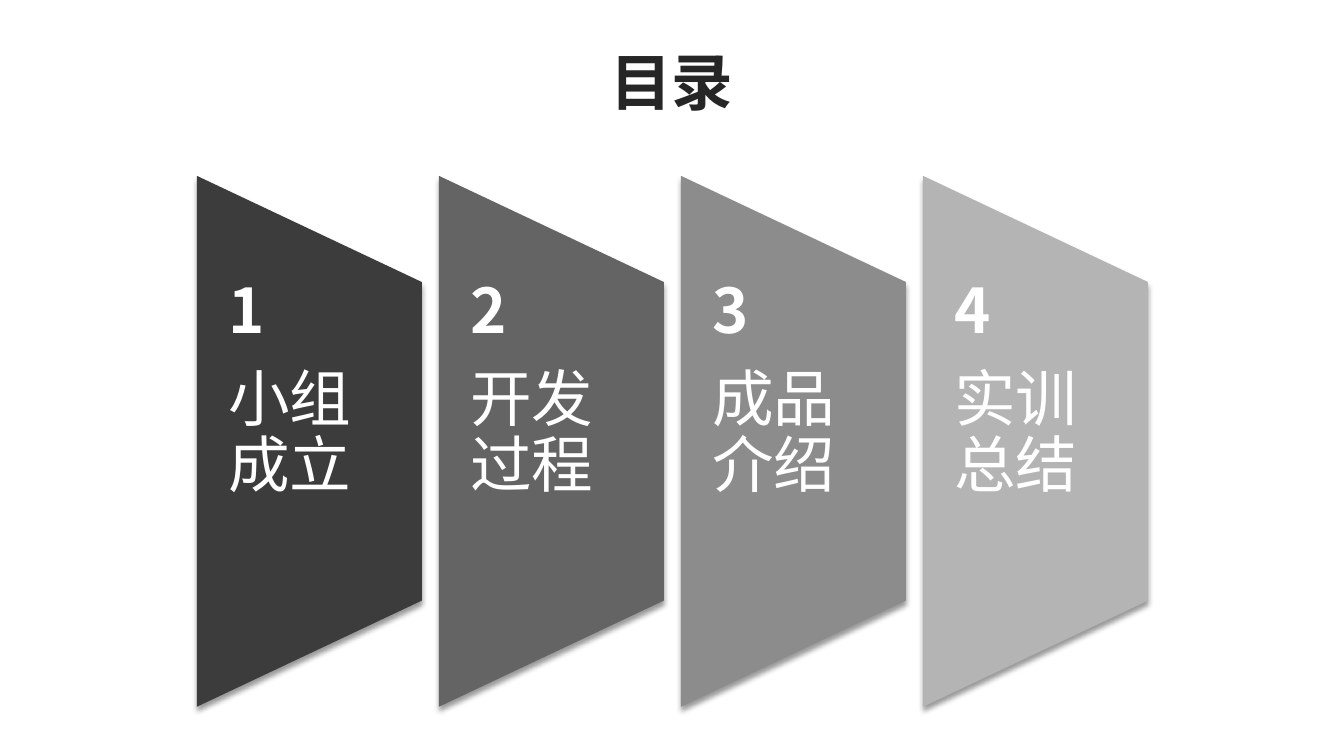
import pptx
import pptx.dml.color
import pptx.enum.shapes
import pptx.enum.text
import pptx.util
import lxml.etree
from pptx.util import Cm, Pt

WHITE = pptx.dml.color.RGBColor(0xFF, 0xFF, 0xFF)
INK = pptx.dml.color.RGBColor(0x26, 0x26, 0x26)
GREYS = [pptx.dml.color.RGBColor(level, level, level)
         for level in (0x3C, 0x64, 0x8C, 0xB4)]
CHAPTERS = ["小组成立", "开发过程", "成品介绍", "实训总结"]
DRAWING = "http://schemas.openxmlformats.org/drawingml/2006/main"


def add_span(para, text, latin, color, bold):
    span = para.add_run()
    span.text = text
    span.font.size = Pt(44)
    span.font.bold = bold
    span.font.name = latin
    span.font.color.rgb = color
    # East Asian typeface follows the latin one
    east_asian = lxml.etree.SubElement(span.font._element, f"{{{DRAWING}}}ea")
    east_asian.set("typeface", "Roboto")


def add_soft_shadow(shape):
    shape.shadow.inherit = False
    effects = shape._element.spPr.find(f"{{{DRAWING}}}effectLst")
    effects.append(lxml.etree.fromstring(
        f'<a:outerShdw xmlns:a="{DRAWING}" blurRad="{Pt(4)}" dist="{Pt(3)}" '
        'dir="5400000" rotWithShape="0"><a:srgbClr val="000000">'
        '<a:alpha val="40000"/></a:srgbClr></a:outerShdw>'))


deck = pptx.Presentation()
deck.slide_width = Cm(33.87)
deck.slide_height = Cm(19.05)
page = deck.slides.add_slide(deck.slide_layouts[5])

# Title
title = page.shapes.title
title.left, title.top, title.width, title.height = Cm(4.6), Cm(1.04), Cm(24.66), Cm(2.21)
title.text_frame.vertical_anchor = pptx.enum.text.MSO_ANCHOR.MIDDLE
para = title.text_frame.paragraphs[0]
para.alignment = pptx.enum.text.PP_ALIGN.CENTER
para.line_spacing = 0.9
add_span(para, "目录", "Roboto", INK, True)

# Four panels, each a manual-operation shape turned on its side
panel_left, panel_top, panel_step = Cm(4.96), Cm(4.43), Cm(6.1)
panel_width, panel_height = Cm(5.67), Cm(13.38)
turn_offset = (panel_height - panel_width) // 2
panels = page.shapes.add_group_shape()

for index, (chapter, grey) in enumerate(zip(CHAPTERS, GREYS)):
    left = panel_left + index * panel_step
    panel = panels.shapes.add_shape(
        pptx.enum.shapes.MSO_SHAPE.FLOWCHART_MANUAL_OPERATION,
        left - turn_offset, panel_top + turn_offset, panel_height, panel_width)
    panel.rotation = 270
    panel.fill.solid()
    panel.fill.fore_color.rgb = grey
    panel.line.fill.background()
    add_soft_shadow(panel)

    # Number and chapter name
    box = panels.shapes.add_textbox(left, Cm(7.06), panel_width, Cm(8.03))
    frame = box.text_frame
    frame.word_wrap = True
    frame.margin_left = frame.margin_right = Cm(0.79)
    frame.margin_top = frame.margin_bottom = 0
    for text, bold in ((str(index + 1), True), (chapter, False)):
        para = frame.paragraphs[0] if bold else frame.add_paragraph()
        para.line_spacing = 0.9
        para.space_after = Pt(15.4)
        add_span(para, text, "Noto Sans CJK SC", WHITE, bold)

deck.save("out.pptx")
